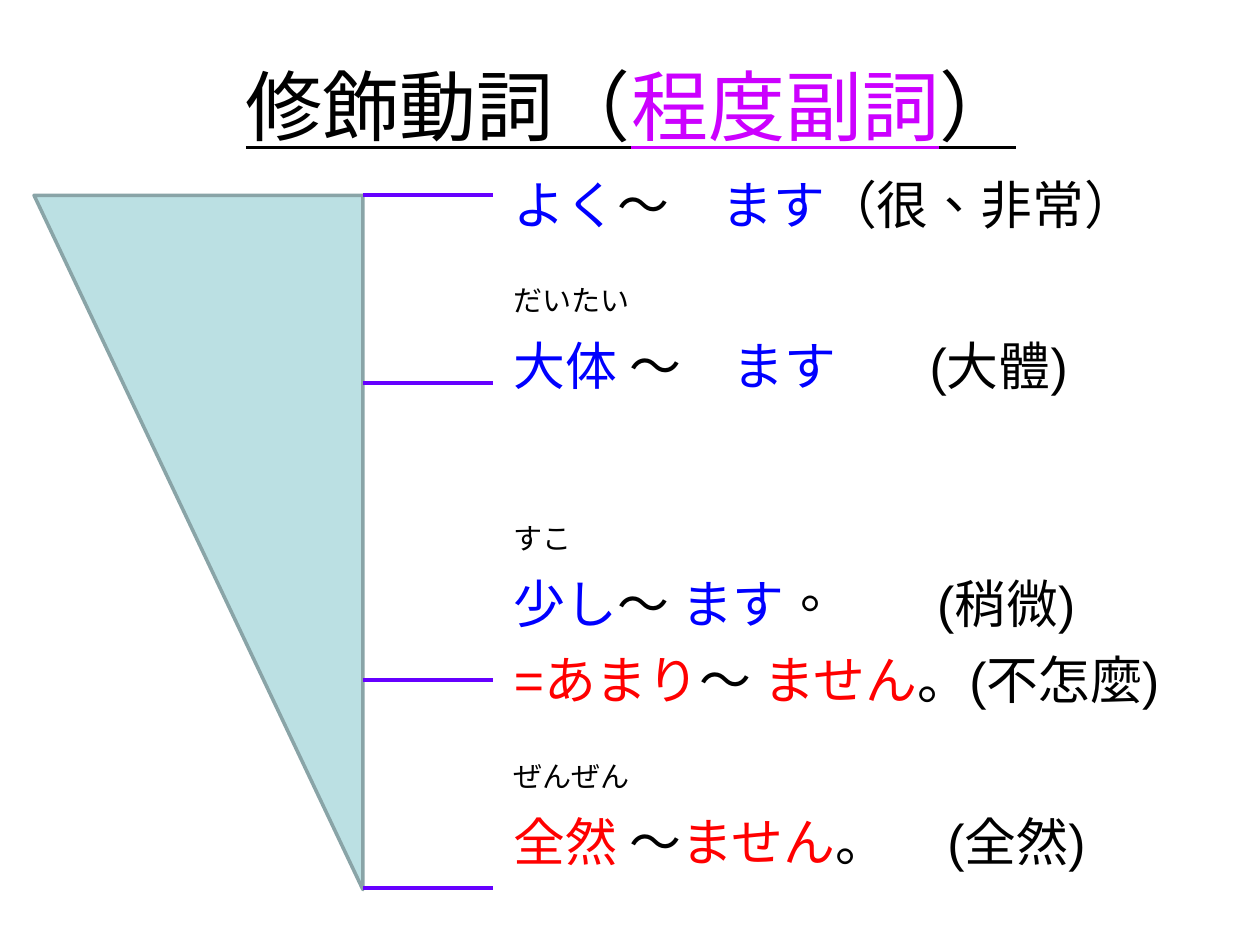
from lxml import etree
from pptx import Presentation
from pptx.dml.color import RGBColor
from pptx.enum import lang, shapes, text
from pptx.oxml.ns import qn
from pptx.util import Inches, Pt

FONT = "Arial"
COLORS = {"ink": "000000", "often": "0000FF", "rarely": "FF0000", "degree": "CC00FF",
          "wedge": "BBE0E3", "wedge_edge": "89A4A7", "mark": "6600FF"}
JA = lang.MSO_LANGUAGE_ID.JAPANESE
ZH = lang.MSO_LANGUAGE_ID.TRADITIONAL_CHINESE

TITLE = [("修飾動詞（", "ink"), ("程度副詞", "degree"), ("）", "ink")]

# Each adverb: reading, space above the reading, tab stop, language of the closing run, runs
ADVERBS = [
    (None, 0, None, ZH,
     [("よく", "often"), ("～", "ink"), ("　ます", "often"), ("（很、非常）", "ink")]),
    ("だいたい", 27.5, 3.3, JA,
     [("大体 ", "often"), ("～", "ink"), ("　ます", "often"), ("\t(大體)", "ink")]),
    ("すこ", 71, 3.36, ZH,
     [("少し", "often"), ("～ ", "ink"), ("ます", "often"), ("。\t(稍微)", "ink")]),
    (None, 8, None, JA,
     [("=あまり", "rarely"), ("～ ", "ink"), ("ません", "rarely"), ("。(不怎麼)", "ink")]),
    ("ぜんぜん", 27.5, 3.44, JA,
     [("全然", "rarely"), (" ～", "ink"), ("ません", "rarely"), ("。\t(全然)", "ink")]),
]
MAIN_SIZE, MAIN_LINE = 29.6, 35.4
READING_SIZE, READING_LINE, READING_GAP = 16.6, 20, 9.5

WEDGE = (0.27, 1.55, 2.61, 5.51)
MARK_TOPS = [1.55, 3.04, 5.4, 7.05]
MARK_WIDTH = 1.03


def rgb(name):
    return RGBColor.from_string(COLORS[name])


def add_runs(para, runs, size, language, underline=None):
    for words, color in runs:
        span = para.add_run()
        span.text = words
        font = span.font
        font.name, font.size, font.underline = FONT, Pt(size), underline
        font.color.rgb = rgb(color)
        font.language_id = JA
    font.language_id = language


def space(para, before, line):
    para.space_before, para.line_spacing = Pt(before), Pt(line)


def add_tab(para, position):
    stops = etree.SubElement(para._p.get_or_add_pPr(), qn("a:tabLst"))
    etree.SubElement(stops, qn("a:tab"), pos=str(Inches(position)), algn="l")


deck = Presentation()
deck.slide_width, deck.slide_height = Inches(10), Inches(7.5)
page = deck.slides.add_slide(deck.slide_layouts[5])

# Title
title = page.shapes.title
title.left, title.top, title.width, title.height = map(Inches, (0.51, 0.21, 9, 1.25))
title.text_frame.vertical_anchor = text.MSO_ANCHOR.MIDDLE
heading = title.text_frame.paragraphs[0]
heading.alignment = text.PP_ALIGN.CENTER
add_runs(heading, TITLE, 44, ZH, underline=True)

# Adverbs with their readings
box = page.shapes.add_textbox(*map(Inches, (3.98, 1.32, 5.91, 5.91)))
frame = box.text_frame
frame.word_wrap = True
for index, (reading, before, tab, language, runs) in enumerate(ADVERBS):
    para = frame.add_paragraph() if index else frame.paragraphs[0]
    if reading:
        space(para, before, READING_LINE)
        add_runs(para, [(reading, "ink")], READING_SIZE, JA)
        para, before = frame.add_paragraph(), READING_GAP
    space(para, before, MAIN_LINE)
    if tab:
        add_tab(para, tab)
    add_runs(para, runs, MAIN_SIZE, language)

# Wedge narrowing from "very" to "not at all"
wedge = page.shapes.add_shape(shapes.MSO_SHAPE.RIGHT_TRIANGLE, *map(Inches, WEDGE))
wedge.rotation = 180
wedge.shadow.inherit = False
wedge.fill.solid()
wedge.fill.fore_color.rgb = rgb("wedge")
wedge.line.color.rgb = rgb("wedge_edge")
wedge.line.width = Pt(2)

# Degree marks
mark_left = WEDGE[0] + WEDGE[2]
for top in MARK_TOPS:
    mark = page.shapes.add_connector(
        shapes.MSO_CONNECTOR.STRAIGHT,
        *map(Inches, (mark_left, top, mark_left + MARK_WIDTH, top)))
    mark.line.color.rgb = rgb("mark")
    mark.line.width = Pt(2.25)
    etree.SubElement(mark._element.spPr, qn("a:effectLst"))

deck.save("out.pptx")
